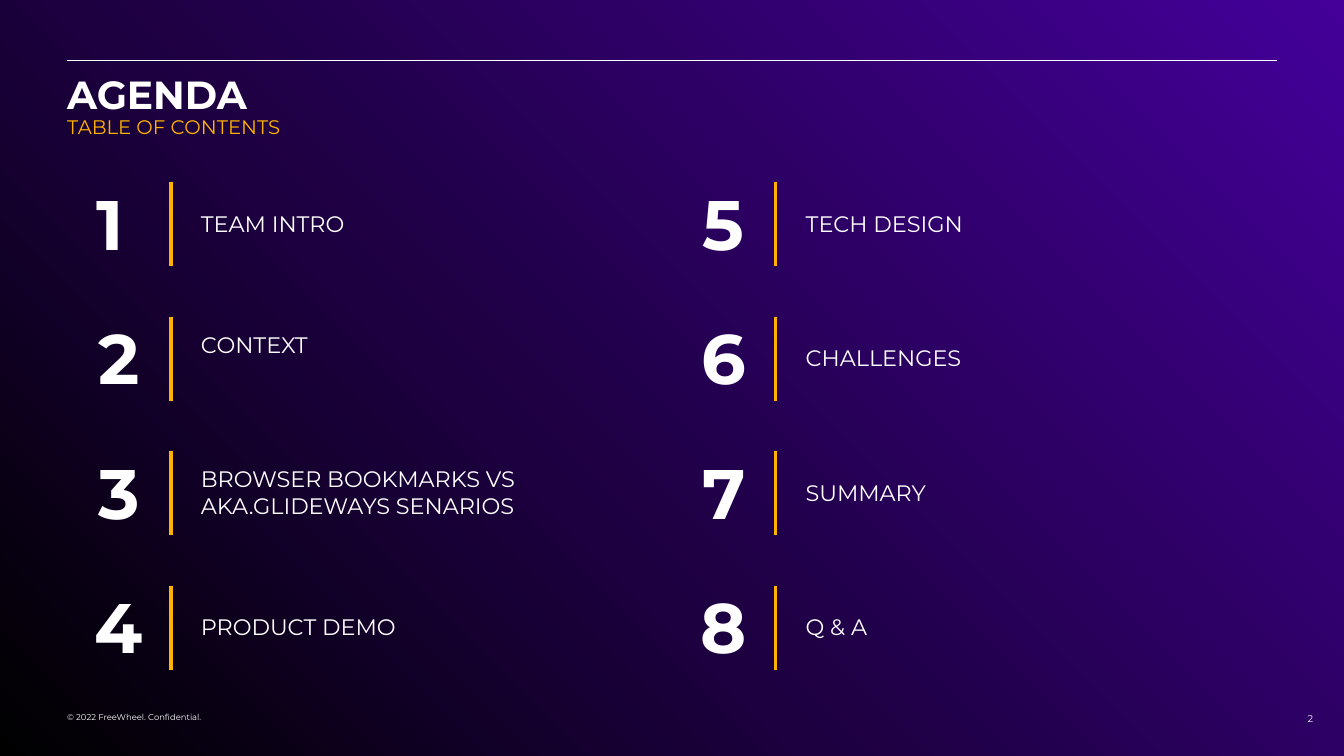
"""Build the agenda slide with two numbered tables."""
from copy import deepcopy
from dataclasses import dataclass, field
from typing import Any

from lxml.etree import SubElement
from pptx import Presentation
from pptx.dml.color import RGBColor
from pptx.enum.shapes import MSO_CONNECTOR
from pptx.enum.text import MSO_ANCHOR, MSO_AUTO_SIZE, PP_ALIGN
from pptx.oxml.ns import qn
from pptx.util import Inches, Pt

WIDE, HIGH = Inches(13.333), Inches(7.5)
COLS, ROWS = 20, 9
FONT = "Montserrat"
PLAIN = "{2D5ABB26-0587-4C30-8999-92F81FD0307C}"
HUES = {"white": "FFFFFF", "gold": "FFB300", "black": "000000",
        "plum": "1C003F", "violet": "440099"}
STOPS = ((0, "black"), (0.39, "plum"), (1, "violet"))
FLAT = {"margin_left": 0, "margin_right": 0, "margin_top": 0, "margin_bottom": 0}
MIDDLE = FLAT | {"vertical_anchor": MSO_ANCHOR.MIDDLE}
LABEL = MIDDLE | {"margin_left": Inches(0.3), "margin_right": Inches(0.1),
                  "margin_top": Inches(0.05), "margin_bottom": Inches(0.05)}


@dataclass
class Item:
    text: str
    count_fmt: dict = field(default_factory=dict)
    label_fmt: dict = field(default_factory=dict)


@dataclass
class Note:
    text: str
    place: tuple
    size: float
    wrap: bool
    align: Any


LISTS = (
    (Item("TEAM INTRO", count_fmt={"margin_right": Inches(0.18)}),
     Item("CONTEXT", label_fmt={"margin_bottom": Inches(0.32)}),
     Item("BROWSER BOOKMARKS VS AKA.GLIDEWAYS SENARIOS"),
     Item("PRODUCT DEMO")),
    (Item("TECH DESIGN"), Item("CHALLENGES"), Item("SUMMARY"), Item("Q & A")),
)
NOTES = (
    Note("© 2022 FreeWheel. Confidential.", (1, 8.48, 2.39, 0.12), 6, False, PP_ALIGN.LEFT),
    Note("2", (19, 8.46, 1, 0.19), 7, True, PP_ALIGN.CENTER),
)


def across(cols: float) -> int:
    return round(WIDE * cols / COLS)


def down(rows: float) -> int:
    return round(HIGH * rows / ROWS)


def spot(left: float, top: float, width: float, height: float) -> tuple:
    return across(left), down(top), across(width), down(height)


def shade(name: str) -> RGBColor:
    return RGBColor.from_string(HUES[name])


def apply(thing: Any, fmt: dict) -> None:
    for key, value in fmt.items():
        setattr(thing, key, value)


def write(para: Any, text: str, size: float, hue: str = "white",
          bold: bool = False, **fmt: Any) -> None:
    run = para.add_run()
    run.text = text
    apply(run.font, {"name": FONT, "size": Pt(size), "bold": bold})
    run.font.color.rgb = shade(hue)
    apply(para, fmt)


def paint(slide: Any) -> None:
    fill = slide.background.fill
    fill.gradient()
    fill.gradient_angle = 45
    stops = next(slide.element.iter(qn("a:gsLst")))
    stops.insert(1, deepcopy(stops[0]))
    for stop, (place, hue) in zip(fill.gradient_stops, STOPS):
        stop.position = place
        stop.color.rgb = shade(hue)


def rule(slide: Any) -> None:
    line = slide.shapes.add_connector(
        MSO_CONNECTOR.STRAIGHT, across(1), down(0.72), across(19), down(0.72))
    line.line.width = Pt(0.5)
    line.line.color.rgb = shade("white")
    SubElement(line.element.spPr, qn("a:effectLst"))


def head(slide: Any) -> None:
    title = slide.shapes.title
    apply(title, dict(zip(("left", "top", "width", "height"), spot(1, 0.9, 18, 0.77))))
    frame = title.text_frame
    apply(frame, FLAT | {"vertical_anchor": MSO_ANCHOR.TOP, "word_wrap": True,
                         "auto_size": MSO_AUTO_SIZE.NONE})
    both = {"line_spacing": 0.9, "alignment": PP_ALIGN.LEFT}
    write(frame.paragraphs[0], "AGENDA", 28, bold=True, **both)
    write(frame.add_paragraph(), "TABLE OF CONTENTS", 14, "gold",
          space_after=Pt(4), **both)


def jot(slide: Any, note: Note) -> None:
    frame = slide.shapes.add_textbox(*spot(*note.place)).text_frame
    apply(frame, MIDDLE | {"word_wrap": note.wrap})
    write(frame.paragraphs[0], note.text, note.size, alignment=note.align)


def edge(cell: Any, side: str) -> None:
    line = SubElement(cell._tc.get_or_add_tcPr(), qn(side), w=str(Pt(3)))
    SubElement(SubElement(line, qn("a:solidFill")), qn("a:srgbClr"), val=HUES["gold"])
    cell._tc.tcPr.insert(0, line)


def chart(slide: Any, items: tuple, left: float, first: int) -> None:
    count = 2 * len(items) - 1
    frame = slide.shapes.add_table(count, 2, *spot(left, 2.17, 9, 5.8))
    table = frame.table
    apply(table, {"first_row": False, "horz_banding": False})
    next(frame.element.iter(qn("a:tableStyleId"))).text = PLAIN
    for col, width in zip(table.columns, (1.54, 7.46)):
        col.width = across(width)
    for index, row in enumerate(table.rows):
        row.height = down(0.6 if index % 2 else 1)
    for cell in table.iter_cells():
        cell.fill.background()
    for index, item in enumerate(items):
        digit, label = table.rows[2 * index].cells
        apply(digit, MIDDLE | item.count_fmt)
        apply(label, LABEL | item.label_fmt)
        write(digit.text_frame.paragraphs[0], str(first + index), 50,
              bold=True, alignment=PP_ALIGN.CENTER)
        write(label.text_frame.paragraphs[0], item.text, 16)
        edge(digit, "a:lnR")
        edge(label, "a:lnL")


def main() -> None:
    deck = Presentation()
    apply(deck, {"slide_width": WIDE, "slide_height": HIGH})
    slide = deck.slides.add_slide(deck.slide_layouts[5])
    paint(slide)
    rule(slide)
    head(slide)
    for note in NOTES:
        jot(slide, note)
    for index, items in enumerate(LISTS):
        chart(slide, items, 1 + 9 * index, 1 + 4 * index)
    deck.save("out.pptx")


if __name__ == "__main__":
    main()
